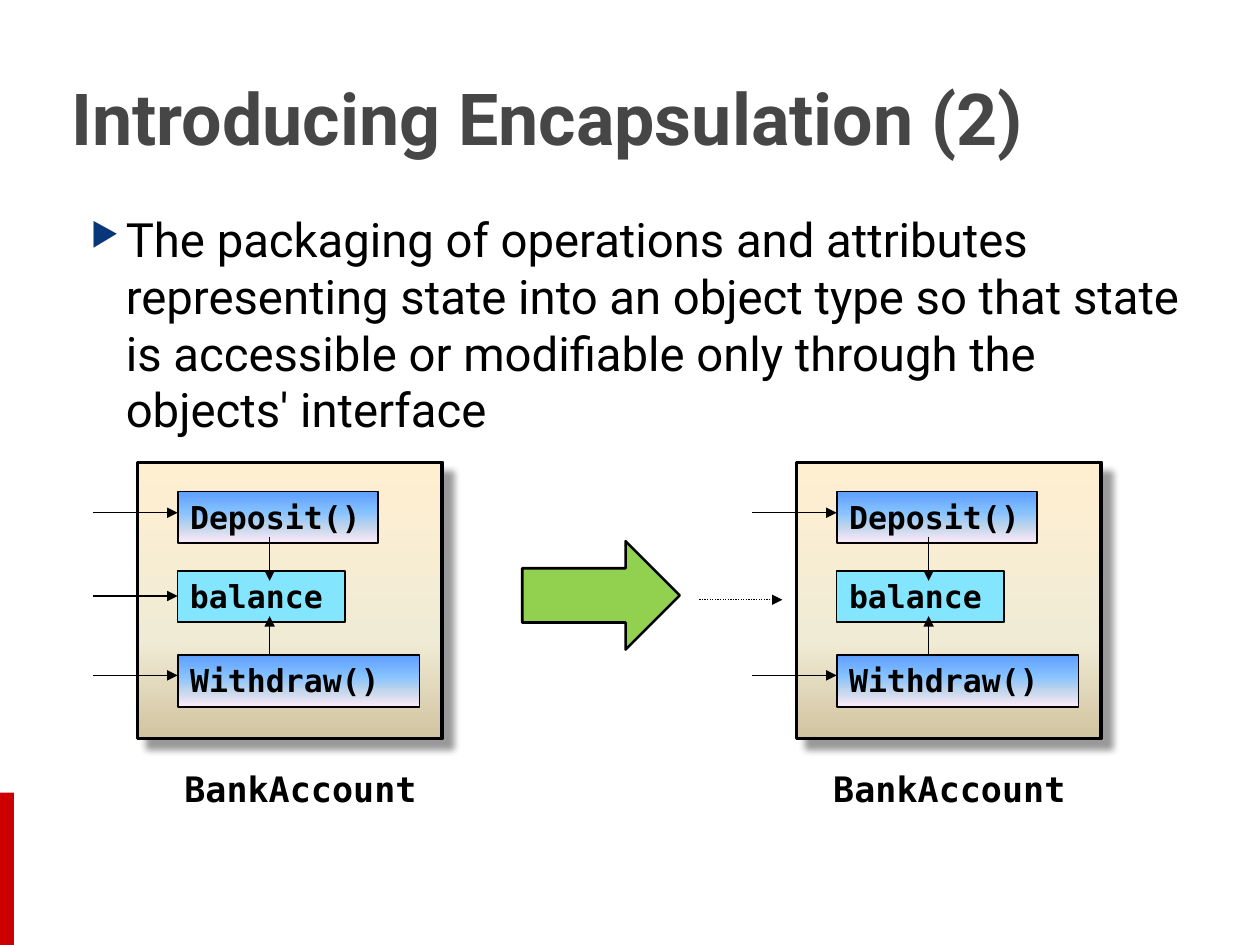
from dataclasses import dataclass

from lxml.etree import SubElement
from pptx import Presentation
from pptx.dml.color import RGBColor
from pptx.enum.dml import MSO_LINE_DASH_STYLE as Dash
from pptx.enum.shapes import MSO_CONNECTOR as Connector, MSO_SHAPE as Shape
from pptx.enum.text import MSO_ANCHOR as Anchor, PP_ALIGN as Align
from pptx.oxml import parse_xml
from pptx.oxml.ns import nsdecls, qn
from pptx.util import Inches, Pt


@dataclass(frozen=True)
class Theme:
    sans: str = "Roboto"
    mono: str = "DejaVu Sans Mono"
    title_size: int = 41
    body_size: int = 27
    label_size: int = 20
    member_size: int = 18
    title: str = "464646"
    ink: str = "000000"
    bullet: str = "09367A"
    accent: str = "CC0000"
    arrow: str = "92D050"
    attribute: str = "84E6FE"
    panel: tuple = ((0, "FFEFD1"), (65, "F0EBD5"), (100, "D1C39F"))
    method: tuple = ((0, "5E9EFF"), (40, "85C2FF"), (70, "C4D6EB"), (100, "FFEBFA"))


theme = Theme()
prs = Presentation()
prs.slide_width, prs.slide_height = Inches(10), Inches(7.5)
slide = prs.slides.add_slide(prs.slide_layouts[6])
shapes = slide.shapes


def add_block(kind, box, fill, line_width=0, text="", font=theme.mono,
              size=theme.member_size, color=theme.ink, bold=True):
    """Add a shape or, when kind is None, a text box; a tuple fill is a vertical gradient."""
    bounds = [Inches(length) for length in box]
    if kind is None:
        block = shapes.add_textbox(*bounds)
    else:
        block = shapes.add_shape(kind, *bounds)
        block.shadow.inherit = False
    if isinstance(fill, tuple):
        block.fill.gradient()
        block.fill.gradient_angle = 270
        stops = block._element.spPr.find(qn("a:gradFill")).find(qn("a:gsLst"))
        stops.clear()
        for position, stop_color in fill:
            stop = SubElement(stops, qn("a:gs"), pos=str(position * 1000))
            SubElement(stop, qn("a:srgbClr"), val=stop_color)
    elif fill:
        block.fill.solid()
        block.fill.fore_color.rgb = RGBColor.from_string(fill)
    if line_width:
        block.line.color.rgb = RGBColor.from_string(theme.ink)
        block.line.width = Pt(line_width)
    else:
        block.line.fill.background()
    if text:
        frame = block.text_frame
        frame.word_wrap = True
        frame.vertical_anchor = Anchor.TOP
        frame.text = text
        paragraph = frame.paragraphs[0]
        paragraph.alignment = Align.LEFT
        run_font = paragraph.runs[0].font
        run_font.name, run_font.size, run_font.bold = font, Pt(size), bold
        run_font.color.rgb = RGBColor.from_string(color)
    return block


def add_arrow(x1, y1, x2, y2, dash=None):
    arrow = shapes.add_connector(Connector.STRAIGHT, *map(Inches, (x1, y1, x2, y2)))
    arrow.line.color.rgb = RGBColor.from_string(theme.ink)
    arrow.line.width = Pt(0.75)
    if dash:
        arrow.line.dash_style = dash
    properties = arrow._element.spPr
    SubElement(properties.find(qn("a:ln")), qn("a:tailEnd"), type="triangle")
    SubElement(properties, qn("a:effectLst"))


add_block(Shape.RECTANGLE, (0, 6.29, 0.11, 1.21), theme.accent)

title = add_block(None, (0.47, 0.3, 9.03, 1.25), None, text="Introducing Encapsulation (2)",
                  font=theme.sans, size=theme.title_size, color=theme.title)
title.text_frame.vertical_anchor = Anchor.MIDDLE

definition = add_block(
    None, (0.5, 1.62, 8.99, 1.95), None, font=theme.sans, size=theme.body_size, bold=False,
    text="The packaging of operations and attributes representing state into an object type "
         "so that state is accessible or modifiable only through the objects' interface")
bullet = definition.text_frame.paragraphs[0]._p.get_or_add_pPr()
bullet.set("marL", str(Inches(0.4)))
bullet.set("indent", str(Inches(-0.28)))
bullet_color = SubElement(bullet, qn("a:buClr"))
SubElement(bullet_color, qn("a:srgbClr"), val=theme.bullet)
SubElement(bullet, qn("a:buSzPct"), val="68000")
SubElement(bullet, qn("a:buChar"), char="▶")

# Each account: panel left, label left, whether the balance is open to the outside
for panel_left, label_left, balance_open in ((1.09, 1.02, True), (6.32, 6.17, False)):
    panel = add_block(Shape.RECTANGLE, (panel_left, 3.67, 2.42, 2.19), theme.panel, 2)
    panel._element.spPr.find(qn("a:effectLst")).append(parse_xml(
        f'<a:outerShdw {nsdecls("a")} blurRad="{Pt(4)}" dist="{Pt(8)}" dir="2700000" '
        f'algn="tl" rotWithShape="0"><a:srgbClr val="{theme.ink}">'
        '<a:alpha val="40000"/></a:srgbClr></a:outerShdw>'))

    member_left = panel_left + 0.32
    for name, top, width, fill, access_y, accessible in (
        ("Deposit()", 3.9, 1.59, theme.method, 4.07, True),
        ("balance", 4.53, 1.33, theme.attribute, 4.73, balance_open),
        ("Withdraw()", 5.2, 1.92, theme.method, 5.36, True),
    ):
        add_block(Shape.RECTANGLE, (member_left, top, width, 0.41), fill, 1, name)
        if accessible:
            add_arrow(member_left - 0.67, access_y, member_left, access_y)

    update_x = member_left + 0.73
    add_arrow(update_x, 4.26, update_x, 4.61)
    add_arrow(update_x, 5.2, update_x, 4.89)

    label = add_block(None, (label_left, 6.09, 2.73, 0.34), None,
                      text="BankAccount", size=theme.label_size)
    frame = label.text_frame
    frame.margin_left = frame.margin_right = frame.margin_top = frame.margin_bottom = 0
    frame.vertical_anchor = Anchor.MIDDLE
    frame.paragraphs[0].alignment = Align.CENTER

add_arrow(5.55, 4.76, 6.21, 4.76, Dash.ROUND_DOT)
transition = add_block(Shape.DOWN_ARROW, (4.34, 4.1, 0.86, 1.25), theme.arrow, 1.5)
transition.rotation = 270

prs.save("out.pptx")
